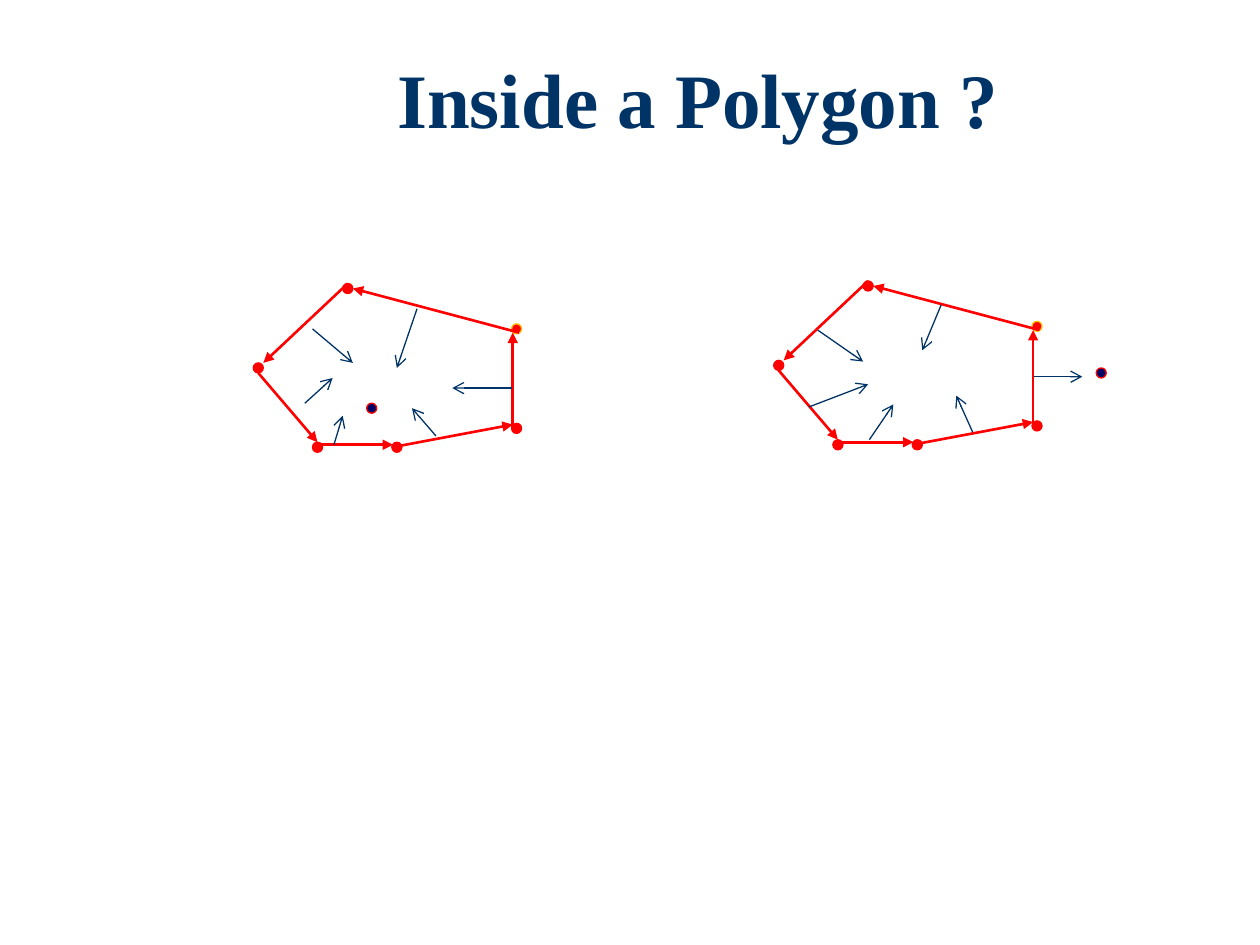
from lxml import etree
from pptx import Presentation
from pptx.dml.color import RGBColor
from pptx.enum.shapes import MSO_CONNECTOR, MSO_SHAPE
from pptx.enum.text import MSO_ANCHOR, PP_ALIGN
from pptx.oxml.ns import qn
from pptx.util import Inches, Pt

STRAIGHT = MSO_CONNECTOR.STRAIGHT
OVAL = MSO_SHAPE.OVAL
CENTER = PP_ALIGN.CENTER
MIDDLE = MSO_ANCHOR.MIDDLE

RED, GOLD, NAVY, INDIGO = "FF0000", "FFC000", "003366", "000066"
DOT = 0.08

# Polygon geometry, in inches from the top left of its box
VERTICES = [(0.47, 1.26), (0.71, 0), (1.10, 1.26), (2.05, 1.11), (0, 0.63)]
START_VERTEX = (2.05, 0.32)
EDGES = [
    (2.11, 0.39, 0.79, 0.04),
    (0.75, 0, 0.08, 0.63),
    (0.04, 0.71, 0.51, 1.26),
    (0.54, 1.28, 1.11, 1.28),
    (1.10, 1.30, 2.06, 1.12),
    (2.06, 1.15, 2.06, 0.39),
]

# Test point and edge normals of each case
INSIDE_POINT = (0.90, 0.95)
INSIDE_NORMALS = [
    (1.30, 0.20, 1.14, 0.67),
    (0.47, 0.36, 0.79, 0.63),
    (0.41, 0.95, 0.63, 0.75),
    (0.64, 1.28, 0.71, 1.05),
    (1.45, 1.21, 1.26, 0.99),
    (2.05, 0.83, 1.58, 0.83),
]
OUTSIDE_POINT = (2.56, 0.69)
OUTSIDE_NORMALS = [
    (2.07, 0.76, 2.45, 0.76),
    (1.33, 0.19, 1.18, 0.55),
    (0.35, 0.39, 0.71, 0.64),
    (0.28, 1.00, 0.75, 0.82),
    (0.76, 1.26, 0.95, 0.98),
    (1.58, 1.20, 1.45, 0.91),
]


def rgb(value):
    return RGBColor.from_string(value)


def add_arrow(s, x1, y1, x2, y2, color, width, head):
    line = s.shapes.add_connector(
        STRAIGHT, Inches(x1), Inches(y1), Inches(x2), Inches(y2))
    line.line.color.rgb = rgb(color)
    line.line.width = Pt(width)
    ln = line.line._get_or_add_ln()
    etree.SubElement(ln, qn("a:tailEnd"), type=head)
    etree.SubElement(line._element.spPr, qn("a:effectLst"))


def add_dot(s, x, y, fill, outline):
    sp = s.shapes.add_shape(
        OVAL, Inches(x), Inches(y), Inches(DOT), Inches(DOT))
    sp.shadow.inherit = False
    sp.fill.solid()
    sp.fill.fore_color.rgb = rgb(fill)
    sp.line.color.rgb = rgb(outline)
    sp.line.width = Pt(0.75)


def add_title(s, text, left, top, width, height):
    title = s.shapes.title
    box = {"left": left, "top": top, "width": width, "height": height}
    for name, value in box.items():
        setattr(title, name, Inches(value))
    tf = title.text_frame
    tf.word_wrap = True
    tf.vertical_anchor = MIDDLE
    p = tf.paragraphs[0]
    p.alignment = CENTER
    p.line_spacing = 0.9
    r = p.add_run()
    r.text = text
    font = {"name": "Times New Roman", "size": Pt(44), "bold": True}
    for name, value in font.items():
        setattr(r.font, name, value)
    r.font.color.rgb = rgb(NAVY)


def add_polygon(s, left, top, point, normals):
    # Vertices and test point
    dots = [(v, RED, RED) for v in VERTICES]
    dots += [(START_VERTEX, RED, GOLD), (point, INDIGO, RED)]
    for (x, y), fill, outline in dots:
        add_dot(s, left + x, top + y, fill, outline)

    # Directed edges, then their normals
    for arrows, color, width, head in (
            (EDGES, RED, 1.5, "triangle"), (normals, NAVY, 0.75, "arrow")):
        for x1, y1, x2, y2 in arrows:
            add_arrow(s, left + x1, top + y1, left + x2, top + y2,
                      color, width, head)


def main():
    prs = Presentation()
    prs.slide_width, prs.slide_height = Inches(10), Inches(7.5)
    s = prs.slides.add_slide(prs.slide_layouts[5])
    add_title(s, "Inside a Polygon ?", 1.54, 0.36, 8, 0.92)
    add_polygon(s, 2.01, 2.25, INSIDE_POINT, INSIDE_NORMALS)
    add_polygon(s, 6.14, 2.23, OUTSIDE_POINT, OUTSIDE_NORMALS)
    prs.save("out.pptx")


if __name__ == "__main__":
    main()
